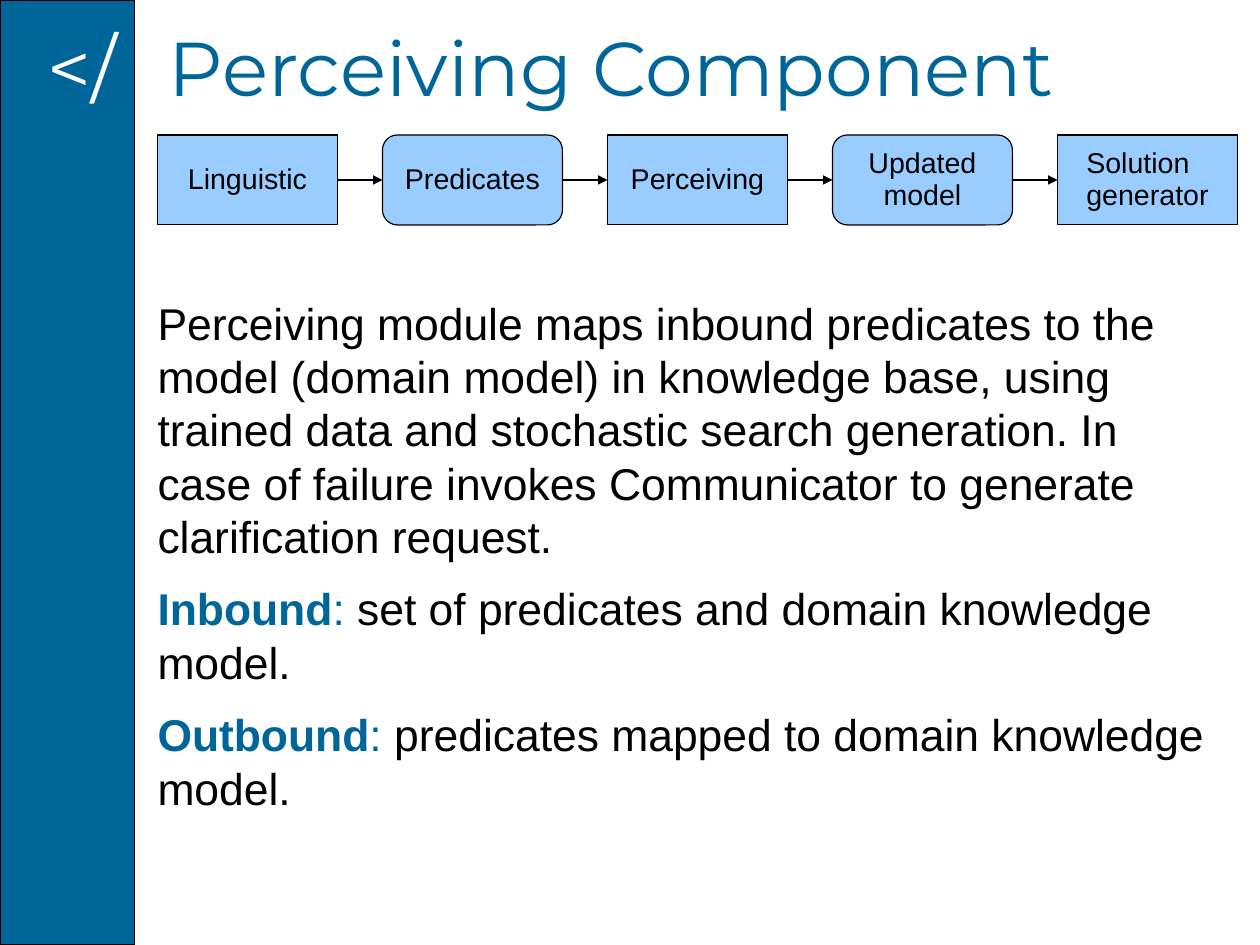
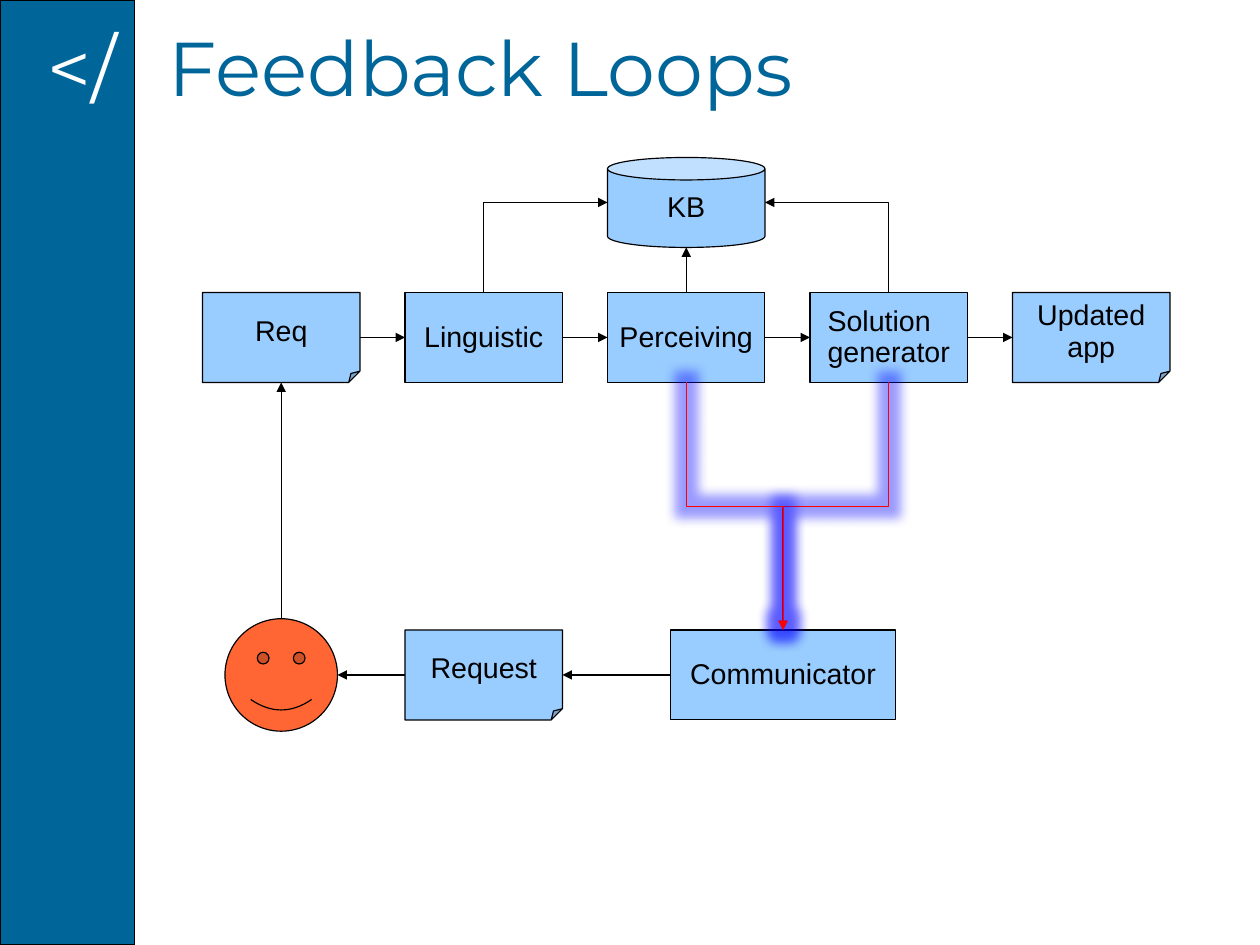
from lxml.etree import SubElement
from pptx import Presentation
from pptx.dml.color import RGBColor
from pptx.enum.shapes import MSO_CONNECTOR as Connector, MSO_SHAPE as Preset
from pptx.enum.text import MSO_ANCHOR as Anchor, PP_ALIGN as Align
from pptx.oxml.ns import qn
from pptx.util import Pt

# Shared look
SLIDE_WIDTH, SLIDE_HEIGHT = 793.7, 595.28
BAND_WIDTH = 85.04
TEAL, SKY, ORANGE = "006699", "99CCFF", "FF6633"
BLACK, WHITE, RED, BLUE = "000000", "FFFFFF", "FF0000", "0000FF"
BODY_FONT, TITLE_FONT = "Arial", "Montserrat"
BOX_HEIGHT = 56.69
LINE_WIDTH = 0.75
GLOW_RADIUS = 14


def color(hex_text):
    return RGBColor.from_string(hex_text)


def add_run(paragraph, text, size, hex_text=BLACK, font=BODY_FONT, bold=False):
    run = paragraph.add_run()
    run.text = text
    run.font.name = font
    run.font.size = Pt(size)
    run.font.bold = bold
    run.font.color.rgb = color(hex_text)


def add_paragraph(frame, index):
    return frame.paragraphs[0] if index == 0 else frame.add_paragraph()


def add_preset(slide, preset, left, top, width, height, fill=SKY):
    shape = slide.shapes.add_shape(preset, Pt(left), Pt(top), Pt(width), Pt(height))
    shape.shadow.inherit = False
    shape.fill.solid()
    shape.fill.fore_color.rgb = color(fill)
    shape.line.color.rgb = color(BLACK)
    shape.line.width = Pt(LINE_WIDTH)
    return shape


def set_fold(shape, share):
    """Size of the folded corner, as a share of the shorter side."""
    guides = shape.element.spPr.find(qn("a:prstGeom")).find(qn("a:avLst"))
    SubElement(guides, qn("a:gd"), name="adj", fmla=f"val {round(share * 100000)}")


def add_box(slide, preset, left, top, width, lines):
    """Flow box: plain rectangles centre a left-aligned block, others centre each line."""
    shape = add_preset(slide, preset, left, top, width, BOX_HEIGHT)
    if preset == Preset.FOLDED_CORNER:
        set_fold(shape, 0.125)
    plain = preset == Preset.RECTANGLE
    frame = shape.text_frame
    frame.vertical_anchor = Anchor.MIDDLE
    frame.word_wrap = plain
    if plain:
        shape.element.txBody.bodyPr.set("anchorCtr", "1")
    for index, line in enumerate(lines):
        paragraph = add_paragraph(frame, index)
        paragraph.alignment = Align.LEFT if plain else Align.CENTER
        paragraph.line_spacing = 0.93
        add_run(paragraph, line, 18)


def add_heading_text(slide, left, width, text, hex_text):
    box = slide.shapes.add_textbox(Pt(left), Pt(14.17), Pt(width), Pt(61))
    box.text_frame.word_wrap = True
    paragraph = box.text_frame.paragraphs[0]
    paragraph.line_spacing = 0.93
    add_run(paragraph, text, 48, hex_text, TITLE_FONT)


def add_body(slide, paragraphs):
    box = slide.shapes.add_textbox(Pt(99.21), Pt(184.25), Pt(666), Pt(382))
    frame = box.text_frame
    frame.word_wrap = True
    frame.margin_left = frame.margin_right = frame.margin_bottom = 0
    frame.margin_top = Pt(2)
    for index, (term, text) in enumerate(paragraphs):
        paragraph = add_paragraph(frame, index)
        paragraph.space_after = Pt(12)
        if term:
            add_run(paragraph, term, 28, TEAL, bold=True)
            add_run(paragraph, ": ", 28, TEAL)
        add_run(paragraph, text, 28)


def add_arrow(slide, start, end, kind=Connector.STRAIGHT, hex_text=BLACK, glow=False):
    connector = slide.shapes.add_connector(kind, *map(Pt, (*start, *end)))
    connector.line.color.rgb = color(hex_text)
    connector.line.width = Pt(LINE_WIDTH)
    properties = connector.element.spPr
    SubElement(properties.find(qn("a:ln")), qn("a:tailEnd"), type="triangle")
    effects = SubElement(properties, qn("a:effectLst"))
    if glow:
        halo = SubElement(effects, qn("a:glow"), rad=str(int(Pt(GLOW_RADIUS))))
        tint = SubElement(halo, qn("a:srgbClr"), val=BLUE)
        SubElement(tint, qn("a:alpha"), val="40000")
    return connector


def add_bent_arrow(slide, start, end, preset, **style):
    """Elbow that leaves vertically: drawn sideways, then turned by a quarter."""
    (x1, y1), (x2, y2) = start, end
    center_x, center_y = (x1 + x2) / 2, (y1 + y2) / 2
    half_width = abs(y2 - y1) / 2 * (-1 if x2 > x1 else 1)
    half_height = abs(x2 - x1) / 2 * (-1 if y2 < y1 else 1)
    connector = add_arrow(slide,
                          (center_x - half_width, center_y - half_height),
                          (center_x + half_width, center_y + half_height),
                          Connector.ELBOW, **style)
    degrees = 270 if (x2 - x1) * (y2 - y1) > 0 else 90
    properties = connector.element.spPr
    properties.find(qn("a:xfrm")).set("rot", str(degrees * 60000))
    properties.find(qn("a:prstGeom")).set("prst", preset)


def add_flow_row(slide, left, top, width, pitch, boxes):
    """Equally spaced boxes, joined by arrows from left to right."""
    middle = top + BOX_HEIGHT / 2
    for index, (preset, lines) in enumerate(boxes):
        x = left + index * pitch
        add_box(slide, preset, x, top, width, lines)
        if index:
            add_arrow(slide, (x - pitch + width, middle), (x, middle))


def add_titled_slide(presentation, title):
    slide = presentation.slides.add_slide(presentation.slide_layouts[6])
    add_preset(slide, Preset.RECTANGLE, 0, 0, BAND_WIDTH, SLIDE_HEIGHT, TEAL)
    add_heading_text(slide, 22.68, 70, "</", WHITE)
    add_heading_text(slide, 99.21, 640, title, TEAL)
    return slide


def build_perceiving(presentation):
    slide = add_titled_slide(presentation, "Perceiving Component")
    add_flow_row(slide, 99.21, 85.04, 113.39, 141.73, [
        (Preset.RECTANGLE, ["Linguistic"]),
        (Preset.ROUNDED_RECTANGLE, ["Predicates"]),
        (Preset.RECTANGLE, ["Perceiving"]),
        (Preset.ROUNDED_RECTANGLE, ["Updated", "model"]),
        (Preset.RECTANGLE, ["Solution generator"]),
    ])
    add_body(slide, [
        (None, "Perceiving module maps inbound predicates to the model (domain model) "
               "in knowledge base, using trained data and stochastic search generation. "
               "In case of failure invokes Communicator to generate clarification request."),
        ("Inbound", "set of predicates and domain knowledge model."),
        ("Outbound", "predicates mapped to domain knowledge model."),
    ])


def build_feedback(presentation):
    slide = add_titled_slide(presentation, "Feedback Loops")
    left, width, pitch = 127.56, 99.21, 127.56
    store_top, row_top, lower_top = 99.21, 184.25, 396.85
    row_bottom = row_top + BOX_HEIGHT
    columns = [left + index * pitch for index in range(5)]
    request_x, linguistic_x, perceiving_x, solution_x, _ = [x + width / 2 for x in columns]

    # Main flow and knowledge base
    add_flow_row(slide, left, row_top, width, pitch, [
        (Preset.FOLDED_CORNER, ["Req"]),
        (Preset.RECTANGLE, ["Linguistic"]),
        (Preset.RECTANGLE, ["Perceiving"]),
        (Preset.RECTANGLE, ["Solution generator"]),
        (Preset.FOLDED_CORNER, ["Updated", "app"]),
    ])
    add_box(slide, Preset.CAN, columns[2], store_top, width, ["KB"])
    store_middle = store_top + BOX_HEIGHT / 2
    add_arrow(slide, (perceiving_x, row_top), (perceiving_x, store_top + BOX_HEIGHT))
    for x, store_edge in ((linguistic_x, columns[2]), (solution_x, columns[2] + width)):
        add_bent_arrow(slide, (x, row_top), (store_edge, store_middle), "bentConnector2")

    # Way back through the user
    communicator_left, communicator_width = 422.4, 141.73
    face_size = 70.87
    lower_middle = lower_top + BOX_HEIGHT / 2
    face_left, face_top = request_x - face_size / 2, lower_middle - face_size / 2
    add_box(slide, Preset.RECTANGLE, communicator_left, lower_top,
            communicator_width, ["Communicator"])
    add_box(slide, Preset.FOLDED_CORNER, columns[1], lower_top, width, ["Request"])
    add_preset(slide, Preset.SMILEY_FACE, face_left, face_top, face_size, face_size, ORANGE)
    add_arrow(slide, (communicator_left, lower_middle), (columns[1] + width, lower_middle))
    add_arrow(slide, (columns[1], lower_middle), (face_left + face_size, lower_middle))
    add_arrow(slide, (request_x, face_top), (request_x, row_bottom))

    # Highlighted failure paths
    communicator_x = communicator_left + communicator_width / 2
    for x in (solution_x, perceiving_x):
        add_bent_arrow(slide, (x, row_bottom), (communicator_x, lower_top),
                       "bentConnector3", hex_text=RED, glow=True)


def main():
    presentation = Presentation()
    presentation.slide_width = Pt(SLIDE_WIDTH)
    presentation.slide_height = Pt(SLIDE_HEIGHT)
    build_perceiving(presentation)
    build_feedback(presentation)
    presentation.save("out.pptx")


main()
